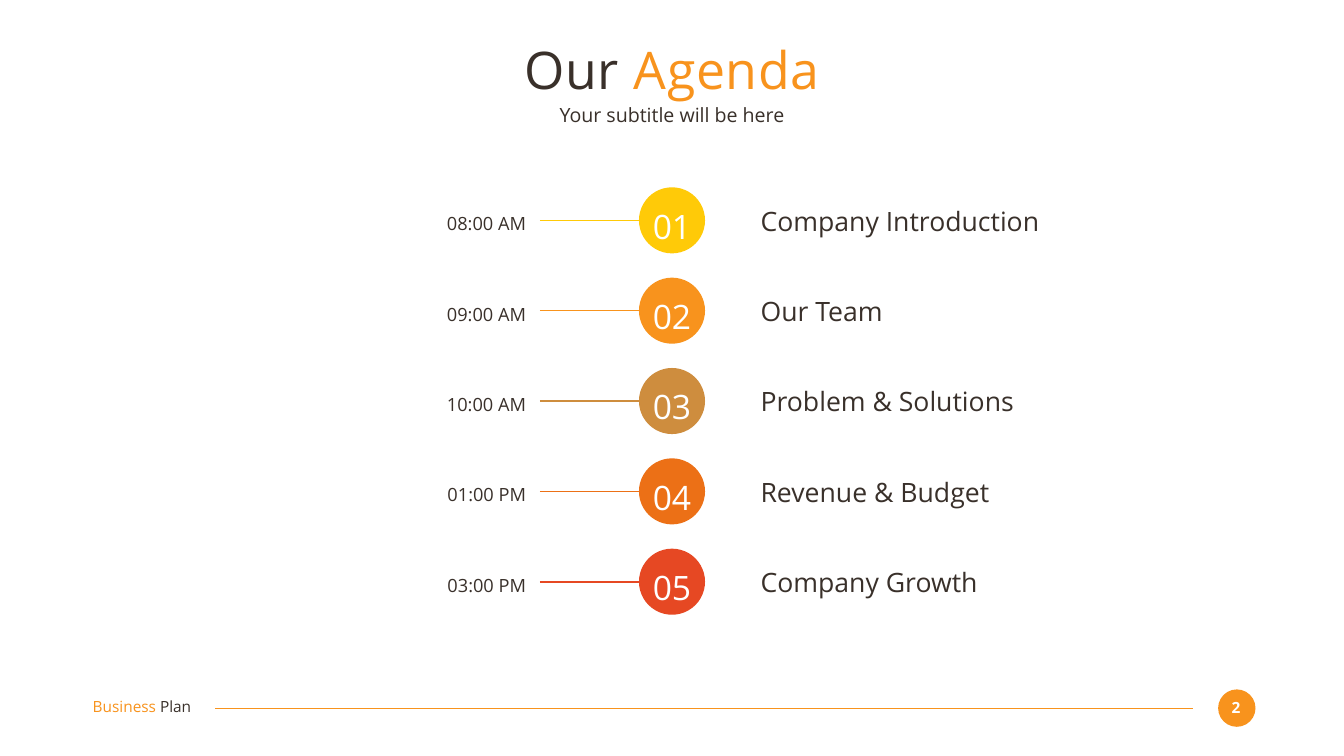
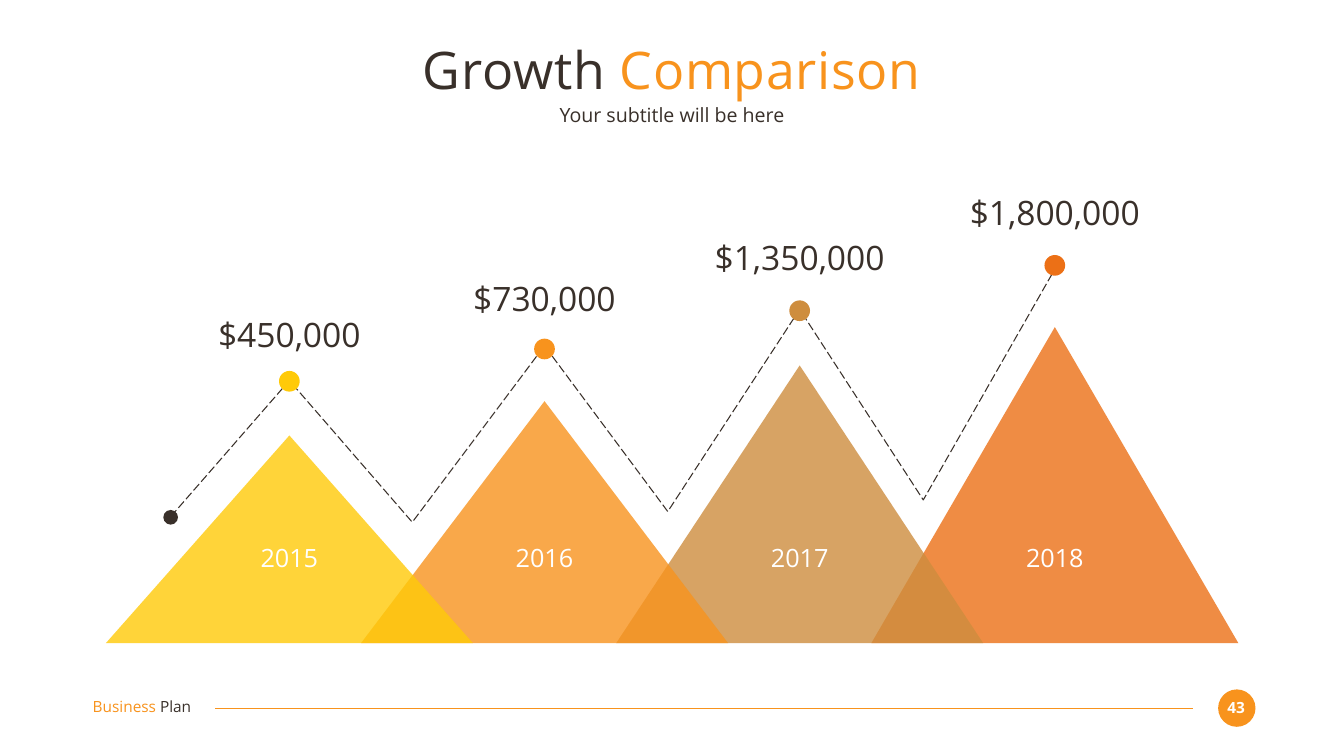
import pptx
import pptx.util
from dataclasses import dataclass
from lxml import etree
from pptx.dml.color import RGBColor
from pptx.enum.dml import MSO_LINE
from pptx.enum.shapes import MSO_CONNECTOR, MSO_SHAPE
from pptx.enum.text import MSO_ANCHOR, MSO_AUTO_SIZE, PP_ALIGN
from pptx.oxml.ns import qn

Pt = pptx.util.Pt


@dataclass(frozen=True)
class Theme:
    font: str = "Open Sans"
    ink: str = "39302A"
    white: str = "FFFFFF"
    yellow: str = "FFCA08"
    orange: str = "F8931D"
    tan: str = "CE8D3E"
    rust: str = "EC7016"
    red: str = "E64823"
    title: int = 74
    subtitle: int = 28
    footer: int = 22
    time: int = 26
    topic: int = 38
    number: int = 48
    amount: int = 48
    year: int = 36


THEME = Theme()
SLIDE_WIDTH, SLIDE_HEIGHT = 1920, 1080
LEFT, CENTER, RIGHT = PP_ALIGN.LEFT, PP_ALIGN.CENTER, PP_ALIGN.RIGHT


# Elements
def add_text(page, left, top, width, height, spans, size, align=LEFT,
             bold=False, line_spacing=None, tracking=None, fixed=False):
    """Add one paragraph made of (text, colour) spans."""
    box = page.shapes.add_textbox(Pt(left), Pt(top), Pt(width), Pt(height))
    frame = box.text_frame
    frame.word_wrap = True
    frame.margin_left = frame.margin_right = 0
    frame.margin_top = frame.margin_bottom = 0
    if fixed:
        frame.auto_size = MSO_AUTO_SIZE.NONE
        frame.vertical_anchor = MSO_ANCHOR.MIDDLE
    else:
        frame.auto_size = MSO_AUTO_SIZE.SHAPE_TO_FIT_TEXT
    para = frame.paragraphs[0]
    para.alignment = align
    if line_spacing:
        para.line_spacing = line_spacing
    para.font.name = THEME.font
    para.font.size = Pt(size)
    para.font.bold = bold
    for text, color in spans:
        span = para.add_run()
        span.text = text
        span.font.color.rgb = RGBColor.from_string(color)
        if tracking:
            span._r.get_or_add_rPr().set("spc", str(tracking * 100))
    return box


def add_solid(page, preset, left, top, width, height, color, opacity=100):
    shape = page.shapes.add_shape(preset, Pt(left), Pt(top), Pt(width), Pt(height))
    shape.shadow.inherit = False
    shape.line.fill.background()
    shape.fill.solid()
    shape.fill.fore_color.rgb = RGBColor.from_string(color)
    if opacity < 100:
        tint = shape.fill._xPr.find(".//" + qn("a:srgbClr"))
        etree.SubElement(tint, qn("a:alpha")).set("val", str(opacity * 1000))
    return shape


def add_dot(page, center_x, center_y, diameter, color):
    return add_solid(page, MSO_SHAPE.OVAL, center_x - diameter / 2,
                     center_y - diameter / 2, diameter, diameter, color)


def add_rule(page, start_x, end_x, y, color, weight):
    rule = page.shapes.add_connector(MSO_CONNECTOR.STRAIGHT, Pt(start_x), Pt(y),
                                     Pt(end_x), Pt(y))
    rule.line.color.rgb = RGBColor.from_string(color)
    rule.line.width = Pt(weight)
    etree.SubElement(rule._element.spPr, qn("a:effectLst"))


def add_dashed_route(page, points):
    corners = [(Pt(x), Pt(y)) for x, y in points]
    builder = page.shapes.build_freeform(*corners[0])
    builder.add_line_segments(corners[1:], close=False)
    route = builder.convert_to_shape()
    route.shadow.inherit = False
    route.fill.background()
    route.line.color.rgb = RGBColor.from_string(THEME.ink)
    route.line.width = Pt(1.5)
    route.line.dash_style = MSO_LINE.LONG_DASH


# Shared title and footer
def add_page(deck, lead, accent, number):
    page = deck.slides.add_slide(deck.slide_layouts[6])
    add_dot(page, 1766.9, 1011.6, 53.4, THEME.orange)
    add_text(page, 1744.6, 997.2, 42.5, 26.6, [(str(number), THEME.white)],
             THEME.footer, CENTER, bold=True)
    add_rule(page, 1704.2, 307.4, 1011.6, THEME.orange, 1.5)
    add_text(page, 132.5, 996.5, 186.5, 26.6,
             [("Business ", THEME.orange), ("Plan", THEME.ink)], THEME.footer)
    add_text(page, 132, 52.5, 1656, 91.5,
             [(lead + " ", THEME.ink), (accent, THEME.orange)],
             THEME.title, CENTER, tracking=1, fixed=True)
    add_text(page, 132, 146.2, 1656, 35.3,
             [("Your subtitle will be here", THEME.ink)],
             THEME.subtitle, CENTER, fixed=True)
    return page


# Agenda slide
def add_agenda_row(page, y, number, time, topic, color):
    add_dot(page, 960, y, 94.4, color)
    add_rule(page, 771.2, 912.8, y, color, 2.25)
    add_text(page, 923, y - 32.7, 74, 69.8, [(number, THEME.white)],
             THEME.number, CENTER, line_spacing=1.2)
    add_text(page, 496.8, y - 17.3, 254.9, 38, [(time, THEME.ink)],
             THEME.time, RIGHT, line_spacing=1.2)
    add_text(page, 1086.5, y - 22.8, 453, 46, [(topic, THEME.ink)], THEME.topic)


def build_agenda(deck):
    page = add_page(deck, "Our", "Agenda", 2)
    rows = [
        ("08:00 AM", "Company Introduction", THEME.yellow),
        ("09:00 AM", "Our Team", THEME.orange),
        ("10:00 AM", "Problem & Solutions", THEME.tan),
        ("01:00 PM", "Revenue & Budget", THEME.rust),
        ("03:00 PM", "Company Growth", THEME.red),
    ]
    first_y, pitch = 314.8, 129.06
    for index, (time, topic, color) in enumerate(rows):
        add_agenda_row(page, first_y + index * pitch, f"{index + 1:02}",
                       time, topic, color)


# Growth slide
@dataclass(frozen=True)
class Peak:
    year: str
    amount: str
    color: str
    height: float
    amount_top: float
    dot_y: float
    route_y: float


def build_growth(deck):
    page = add_page(deck, "Growth", "Comparison", 43)
    peaks = [
        Peak("2015", "$450,000", THEME.yellow, 296.6, 448.6, 544.7, 543.6),
        Peak("2016", "$730,000", THEME.orange, 345.6, 396.7, 498.6, 494),
        Peak("2017", "$1,350,000", THEME.tan, 396.7, 338.4, 443.9, 442),
        Peak("2018", "$1,800,000", THEME.rust, 451.4, 274.3, 379.1, 384.5),
    ]
    first_x, pitch, base_y, base_width = 413.4, 364.5, 918.7, 524.2
    centers = [first_x + index * pitch for index in range(len(peaks))]
    columns = list(zip(centers, peaks))

    # Mountains, the last one at the back
    for x, peak in reversed(columns):
        add_solid(page, MSO_SHAPE.ISOSCELES_TRIANGLE, x - base_width / 2,
                  base_y - peak.height, base_width, peak.height,
                  peak.color, opacity=80)

    # Dashed route over the peaks and through the valleys
    valleys = [746, 730.8, 714.2]
    route = [(244, 738)]
    for index, (x, peak) in enumerate(columns):
        route.append((x, peak.route_y))
        if index < len(valleys):
            route.append((589 + index * 365, valleys[index]))
    add_dashed_route(page, route)
    add_dot(page, 243.8, 739, 21, THEME.ink)

    # Labels and peak markers
    for x, peak in columns:
        add_text(page, x - 86.75, 774.7, 173.5, 44, [(peak.year, THEME.white)],
                 THEME.year, CENTER)
        add_text(page, x - 132.5, peak.amount_top, 265, 58.3,
                 [(peak.amount, THEME.ink)], THEME.amount, CENTER)
        add_dot(page, x, peak.dot_y, 29.6, peak.color)


def main():
    deck = pptx.Presentation()
    deck.slide_width = Pt(SLIDE_WIDTH)
    deck.slide_height = Pt(SLIDE_HEIGHT)
    build_agenda(deck)
    build_growth(deck)
    deck.save("out.pptx")


if __name__ == "__main__":
    main()
